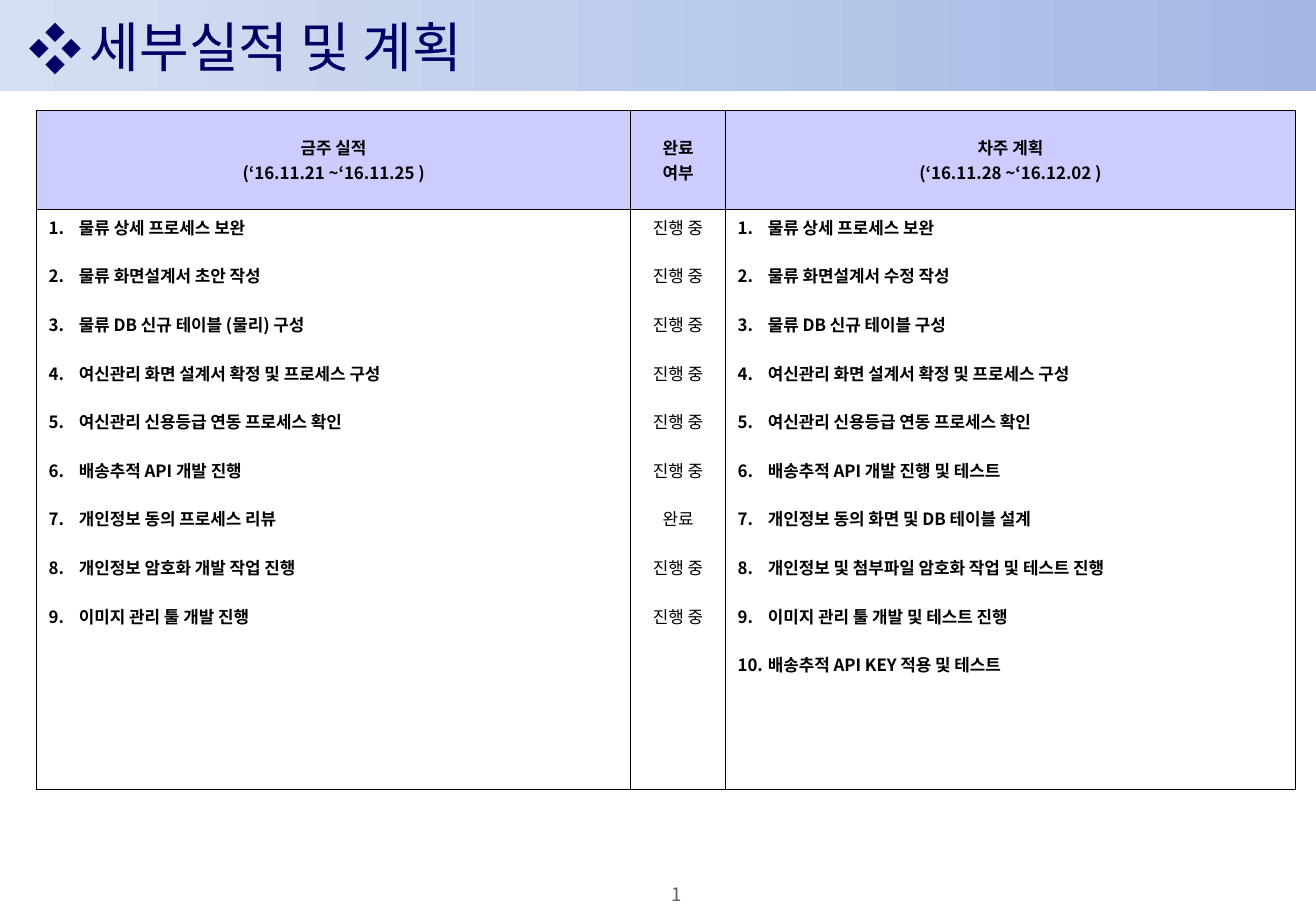
from lxml import etree
from pptx import Presentation
from pptx import util as u
from pptx.dml.color import RGBColor
from pptx.enum import shapes, text
from pptx.oxml.ns import qn

FONT = "Noto Sans CJK KR"
COLORS = {
    "band_left": "D5DFF2",
    "band_right": "A3B8E3",
    "title": "000066",
    "header": "CCCCFF",
    "body": "000000",
    "border": "000000",
    "page": "5F5F5F",
}


def add_run(paragraph, content, size, color, bold=False):
    run = paragraph.add_run()
    run.text = content
    run.font.size = u.Pt(size)
    run.font.bold = bold
    run.font.name = FONT
    run.font.color.rgb = RGBColor.from_string(COLORS[color])
    etree.SubElement(run.font._element, qn("a:ea"), typeface=FONT)


def add_bullet(paragraph, indent, tag, **attributes):
    properties = paragraph._p.get_or_add_pPr()
    properties.set("marL", str(u.Inches(indent)))
    properties.set("indent", str(-u.Inches(indent)))
    etree.SubElement(properties, qn("a:buFont"), typeface=FONT)
    etree.SubElement(properties, qn(tag), **attributes)


prs = Presentation()
prs.slide_width, prs.slide_height = u.Inches(10.83), u.Inches(7.5)
slide = prs.slides.add_slide(prs.slide_layouts[6])

# Title band
band = slide.shapes.add_shape(
    shapes.MSO_SHAPE.RECTANGLE, 0, 0, prs.slide_width, u.Inches(0.75))
band.shadow.inherit = False
band.line.fill.background()
band.fill.gradient()
band.fill.gradient_angle = 0
for stop, color in zip(band.fill.gradient_stops, ("band_left", "band_right")):
    stop.color.rgb = RGBColor.from_string(COLORS[color])

# Title
title = slide.shapes.add_textbox(
    u.Inches(0.14), 0, u.Inches(7.08), u.Inches(0.75)).text_frame
title.word_wrap = True
title.vertical_anchor = text.MSO_ANCHOR.MIDDLE
add_bullet(title.paragraphs[0], 0.5, "a:buChar", char="❖")
add_run(title.paragraphs[0], "세부실적 및 계획", 32, "title")

# Page number
page = slide.shapes.add_textbox(
    u.Inches(5.1), u.Inches(7.27), u.Inches(0.94), u.Inches(0.18)).text_frame
page.word_wrap = True
page.margin_left = page.margin_right = page.margin_top = page.margin_bottom = 0
page.vertical_anchor = text.MSO_ANCHOR.MIDDLE
page.paragraphs[0].alignment = text.PP_ALIGN.CENTER
add_run(page.paragraphs[0], "1", 11, "page")

# Weekly report content
headers = [
    ["금주 실적", "(‘16.11.21 ~‘16.11.25 )"],
    ["완료", "여부"],
    ["차주 계획", "(‘16.11.28 ~‘16.12.02 )"],
]
results = [
    "물류 상세 프로세스 보완",
    "물류 화면설계서 초안 작성",
    "물류 DB 신규 테이블 (물리) 구성",
    "여신관리 화면 설계서 확정 및 프로세스 구성",
    "여신관리 신용등급 연동 프로세스 확인",
    "배송추적 API 개발 진행",
    "개인정보 동의 프로세스 리뷰",
    "개인정보 암호화 개발 작업 진행",
    "이미지 관리 툴 개발 진행",
]
statuses = ["진행 중"] * 6 + ["완료"] + ["진행 중"] * 2
plans = [
    "물류 상세 프로세스 보완",
    "물류 화면설계서 수정 작성",
    "물류 DB 신규 테이블 구성",
    "여신관리 화면 설계서 확정 및 프로세스 구성",
    "여신관리 신용등급 연동 프로세스 확인",
    "배송추적 API 개발 진행 및 테스트",
    "개인정보 동의 화면 및 DB 테이블 설계",
    "개인정보 및 첨부파일 암호화 작업 및 테스트 진행",
    "이미지 관리 툴 개발 및 테스트 진행",
    "배송추적 API KEY 적용 및 테스트",
]

# Report table
report = slide.shapes.add_table(
    2, 3, u.Inches(0.3), u.Inches(0.91), u.Inches(10.36), u.Inches(5.59)).table
report.first_row = report.horz_banding = False
for column, width in zip(report.columns, (4.89, 0.78, 4.69)):
    column.width = u.Inches(width)
for row, height in zip(report.rows, (0.81, 4.78)):
    row.height = u.Inches(height)

for row_index, row_content in enumerate([headers, [results, statuses, plans]]):
    is_header = row_index == 0
    for column_index, lines in enumerate(row_content):
        cell = report.cell(row_index, column_index)
        is_status = column_index == 1

        # Borders come before the fill in the cell properties
        properties = cell._tc.get_or_add_tcPr()
        for side in ("a:lnL", "a:lnR", "a:lnT", "a:lnB"):
            border = etree.SubElement(properties, qn(side), w=str(u.Pt(0.5)))
            border_fill = etree.SubElement(border, qn("a:solidFill"))
            etree.SubElement(border_fill, qn("a:srgbClr"), val=COLORS["border"])
        if is_header:
            cell.fill.solid()
            cell.fill.fore_color.rgb = RGBColor.from_string(COLORS["header"])
            cell.vertical_anchor = text.MSO_ANCHOR.MIDDLE
        else:
            cell.fill.background()

        for index, line in enumerate(lines):
            frame = cell.text_frame
            paragraph = frame.add_paragraph() if index else frame.paragraphs[0]
            if index and not is_header:
                paragraph.space_before = u.Pt(14.4)
            if is_header or is_status:
                paragraph.alignment = text.PP_ALIGN.CENTER
            else:
                add_bullet(paragraph, 0.25, "a:buAutoNum", type="arabicPeriod")
            add_run(paragraph, line, 10, "body", bold=is_header or not is_status)

prs.save("out.pptx")
